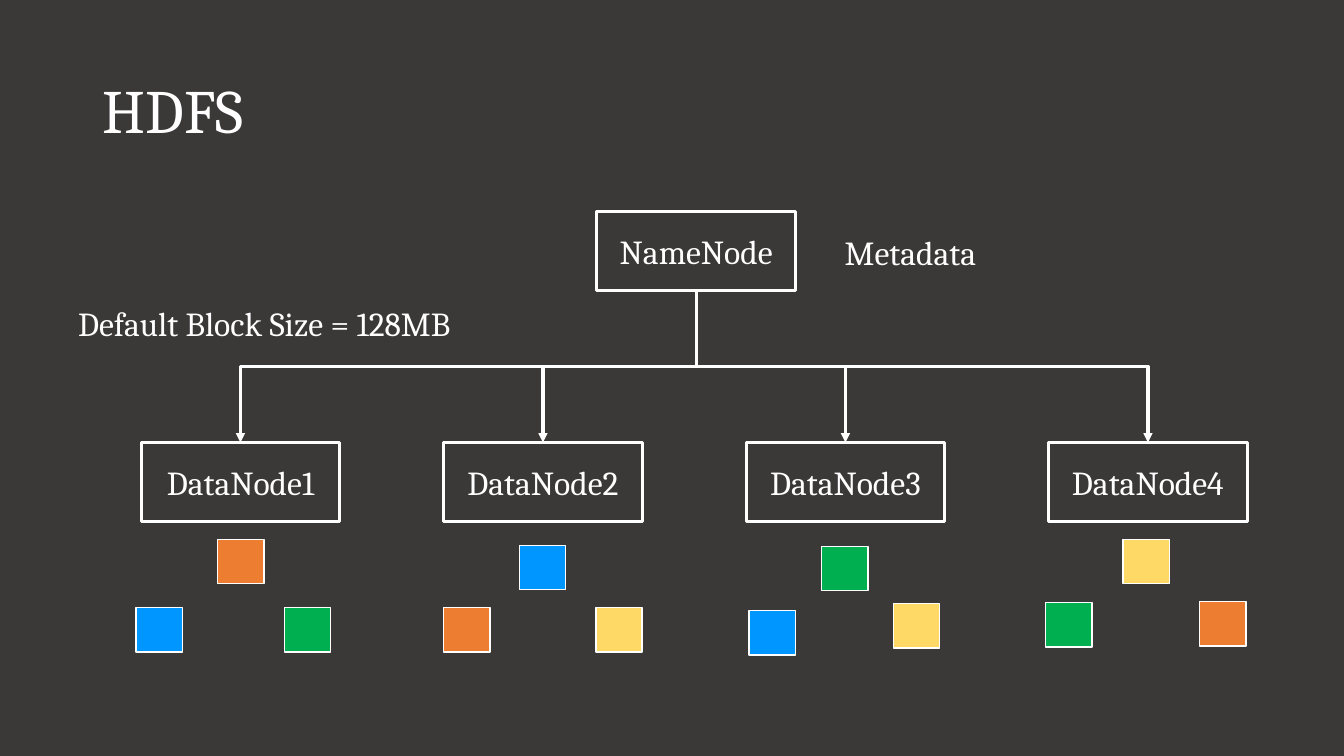
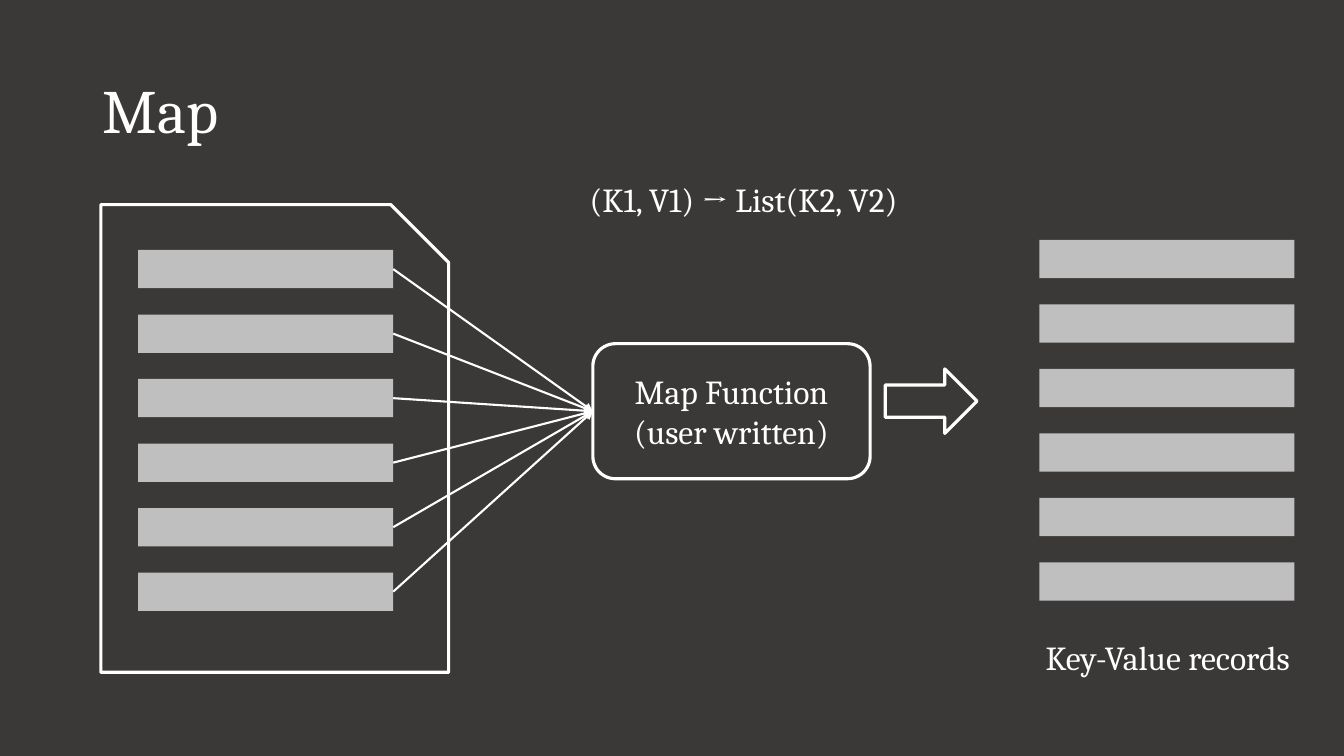
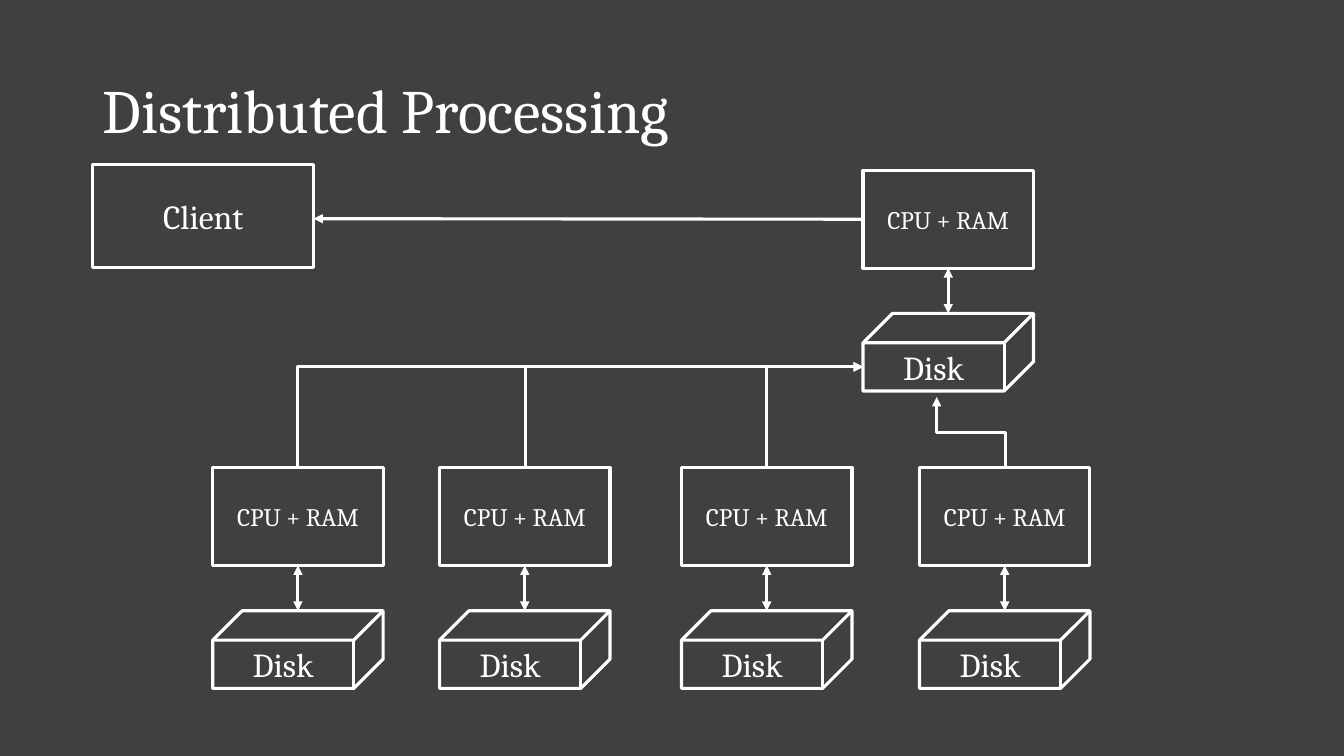
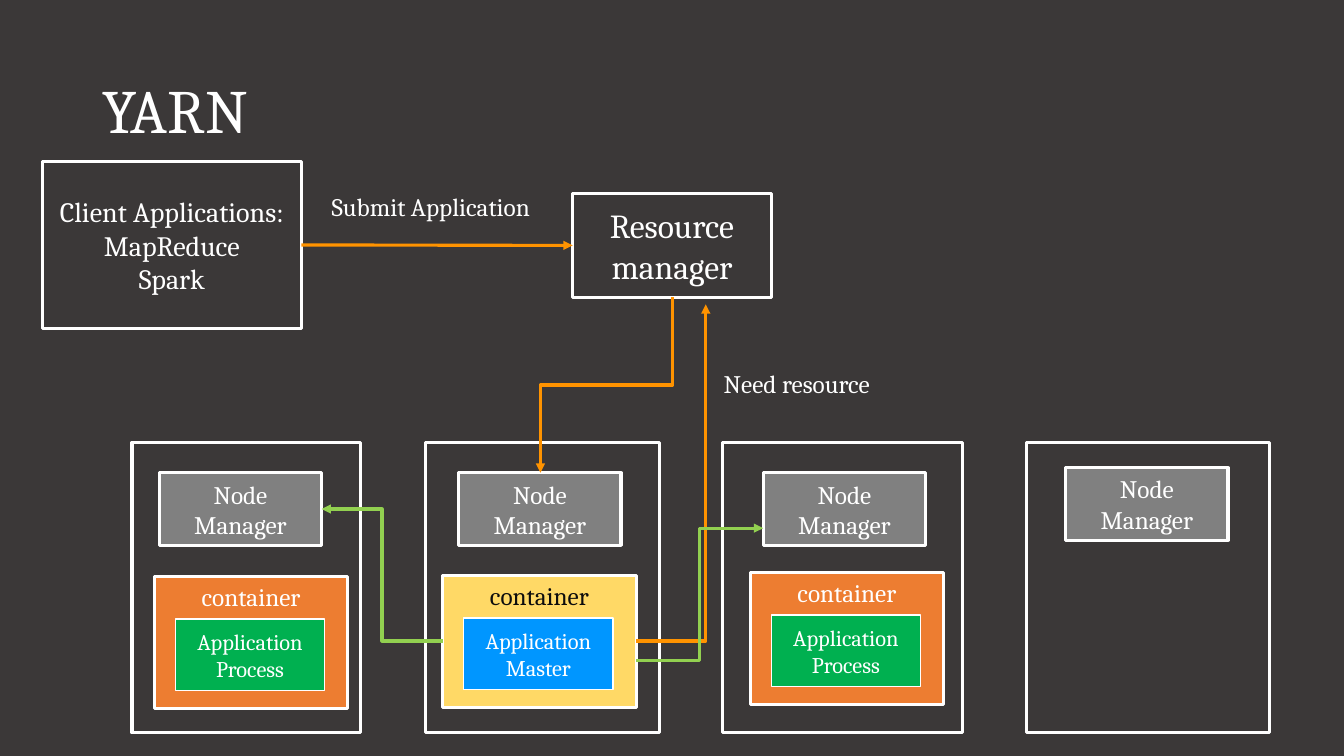
from dataclasses import dataclass

import lxml.etree
import pptx
import pptx.dml.color
import pptx.enum.shapes
import pptx.enum.text
import pptx.oxml.ns
import pptx.util

Inches = pptx.util.Inches
SHAPE = pptx.enum.shapes.MSO_SHAPE
CONNECTOR = pptx.enum.shapes.MSO_CONNECTOR
ALIGN = pptx.enum.text.PP_ALIGN
ANCHOR = pptx.enum.text.MSO_ANCHOR
TOP, LEFT, BOTTOM, RIGHT = range(4)


@dataclass(frozen=True)
class Theme:
    font: str = "Cambria"
    background: str = "3B3838"
    background_grey: str = "404040"
    white: str = "FFFFFF"
    dark: str = "0D0D0D"
    record: str = "BFBFBF"
    manager: str = "808080"
    orange: str = "ED7D31"
    blue: str = "0096FF"
    green: str = "00B050"
    yellow: str = "FFD966"
    request: str = "FF9300"
    launch: str = "92D050"
    title_size: int = 44
    large: int = 24
    medium: int = 20
    small: int = 18
    tiny: int = 16
    thick: float = 2.25
    middle: float = 1.5
    thin: float = 1


THEME = Theme()


def rgb(color):
    return pptx.dml.color.RGBColor.from_string(color)


def apply_values(target, values):
    for name, value in values.items():
        setattr(target, name, value)


def write_text(shape, text, size, color=THEME.white, align=ALIGN.CENTER,
               anchor=ANCHOR.MIDDLE, line_spacing=None):
    frame = shape.text_frame
    apply_values(frame, {"text": text, "word_wrap": True, "vertical_anchor": anchor})
    for paragraph in frame.paragraphs:
        apply_values(paragraph, {"alignment": align, "line_spacing": line_spacing})
        apply_values(paragraph.font, {"name": THEME.font, "size": pptx.util.Pt(size)})
        paragraph.font.color.rgb = rgb(color)


def add_label(slide, box, text, size=THEME.large, **text_values):
    label = slide.shapes.add_textbox(*map(Inches, box))
    write_text(label, text, size, **{"anchor": ANCHOR.TOP, **text_values})


def add_box(shapes, box, text="", size=THEME.large, kind=SHAPE.RECTANGLE,
            fill=None, line=THEME.thick, **text_values):
    """Add an outlined shape; without a fill or a line width that part is empty."""
    shape = shapes.add_shape(kind, *map(Inches, box))
    shape.shadow.inherit = False
    if fill:
        shape.fill.solid()
        shape.fill.fore_color.rgb = rgb(fill)
    else:
        shape.fill.background()
    if line:
        shape.line.color.rgb = rgb(THEME.white)
        shape.line.width = pptx.util.Pt(line)
    else:
        shape.line.fill.background()
    if text:
        write_text(shape, text, size, **text_values)
    return shape


def style_connector(connector, color, width, both_ends=False):
    connector.line.color.rgb = rgb(color)
    connector.line.width = pptx.util.Pt(width)
    properties = connector.element.spPr
    outline = properties.find(pptx.oxml.ns.qn("a:ln"))
    for end in ("a:headEnd", "a:tailEnd") if both_ends else ("a:tailEnd",):
        lxml.etree.SubElement(outline, pptx.oxml.ns.qn(end), type="triangle")
    lxml.etree.SubElement(properties, pptx.oxml.ns.qn("a:effectLst"))


def add_arrow(shapes, start, end, begin=None, finish=None,
              color=THEME.white, width=THEME.thick, both_ends=False):
    """Add a straight arrow; begin and finish are optional (shape, side) joints."""
    arrow = shapes.add_connector(CONNECTOR.STRAIGHT, *map(Inches, start + end))
    if begin:
        arrow.begin_connect(*begin)
    if finish:
        arrow.end_connect(*finish)
    style_connector(arrow, color, width, both_ends)


def add_elbow(slide, start, end, color=THEME.white, vertical_first=False, corners=2):
    """Add a bent arrow; one that leaves vertically is a turned horizontal one."""
    rotation = 0
    if vertical_first:
        half_x, half_y = (end[0] - start[0]) / 2, (end[1] - start[1]) / 2
        center_x, center_y = start[0] + half_x, start[1] + half_y
        turn = -1 if half_x * half_y > 0 else 1
        rotation = 270 if turn < 0 else 90
        start = (center_x - turn * half_y, center_y + turn * half_x)
        end = (center_x + turn * half_y, center_y - turn * half_x)
    elbow = slide.shapes.add_connector(CONNECTOR.ELBOW, *map(Inches, start + end))
    elbow.rotation = rotation
    geometry = elbow.element.spPr.find(pptx.oxml.ns.qn("a:prstGeom"))
    geometry.set("prst", f"bentConnector{corners + 1}")
    style_connector(elbow, color, THEME.thick)


def add_slide(presentation, title, background=THEME.background):
    slide = presentation.slides.add_slide(presentation.slide_layouts[6])
    slide.background.fill.solid()
    slide.background.fill.fore_color.rgb = rgb(background)
    add_label(slide, (0.92, 0.4, 11.5, 1.45), title, THEME.title_size,
              align=ALIGN.LEFT, anchor=ANCHOR.MIDDLE, line_spacing=0.9)
    return slide


def build_hdfs(presentation):
    slide = add_slide(presentation, "HDFS")
    width, height, node_top = 1.97, 0.78, 4.39
    add_box(slide.shapes, (5.92, 2.1, width, height), "NameNode")
    node_blocks = [
        [(THEME.orange, 2.16, 5.35), (THEME.blue, 1.35, 6.03), (THEME.green, 2.82, 6.03)],
        [(THEME.blue, 5.15, 5.41), (THEME.orange, 4.4, 6.03), (THEME.yellow, 5.91, 6.03)],
        [(THEME.green, 8.15, 5.42), (THEME.blue, 7.43, 6.06), (THEME.yellow, 8.86, 5.99)],
        [(THEME.yellow, 11.14, 5.35), (THEME.green, 10.37, 5.98), (THEME.orange, 11.9, 5.97)],
    ]
    for index, blocks in enumerate(node_blocks):
        left = 1.4 + 3 * index
        add_box(slide.shapes, (left, node_top, width, height), f"DataNode{index + 1}")
        add_elbow(slide, (6.91, 2.88), (left + width / 2, node_top), vertical_first=True)
        for color, block_left, block_top in blocks:
            add_box(slide.shapes, (block_left, block_top, 0.46, 0.44),
                    fill=color, line=THEME.thin)
    add_label(slide, (8.15, 2.25, 1.76, 0.5), "Metadata")
    add_label(slide, (0.43, 2.96, 4.38, 0.5), "Default Block Size = 128MB")


def add_records(slide, left, top):
    return [add_box(slide.shapes, (left, top + 0.64 * index, 2.53, 0.38),
                    fill=THEME.record, line=None) for index in range(6)]


def build_map(presentation):
    slide = add_slide(presentation, "Map")
    add_box(slide.shapes, (1, 2.03, 3.45, 4.64), kind=SHAPE.SNIP_1_RECTANGLE)
    records = add_records(slide, 1.37, 2.48)
    function = add_box(slide.shapes, (5.88, 3.41, 2.75, 1.34),
                       "Map Function\n(user written)", kind=SHAPE.ROUNDED_RECTANGLE)
    for record in records:
        add_arrow(slide.shapes, (3.9, 4), (5.88, 4.08), (record, RIGHT),
                  (function, LEFT), width=THEME.middle)
    add_records(slide, 10.31, 2.38)
    add_box(slide.shapes, (8.78, 3.66, 0.91, 0.64), kind=SHAPE.RIGHT_ARROW)
    add_label(slide, (10.12, 6.27, 2.92, 0.5), "Key-Value records")
    add_label(slide, (4.97, 1.73, 4.81, 0.5), "(K1, V1) → List(K2, V2)")


def add_machine(slide, left, top):
    """Add a grouped processor and disk, and return the processor."""
    shapes = slide.shapes.add_group_shape().shapes
    width, height, disk_top = 1.69, 0.97, top + 1.42
    processor = add_box(shapes, (left, top, width, height), "CPU + RAM", THEME.small)
    disk = add_box(shapes, (left, disk_top, width, 0.77), "Disk", kind=SHAPE.CUBE)
    disk.adjustments[0] = 0.378
    center = left + width / 2
    add_arrow(shapes, (center, top + height), (center, disk_top),
              (processor, BOTTOM), both_ends=True)
    return processor


def build_distributed_processing(presentation):
    slide = add_slide(presentation, "Distributed Processing", THEME.background_grey)
    worker_top, disk_side = 4.64, (8.56, 3.64)
    for left in (2.11, 4.36, 6.76, 9.12):
        add_machine(slide, left, worker_top)
    add_box(slide.shapes, (0.92, 1.63, 2.19, 1.02), "Client")
    main_processor = add_machine(slide, 8.56, 1.69)
    add_arrow(slide.shapes, (8.56, 2.17), (3.11, 2.17), (main_processor, LEFT))
    for center in (2.95, 5.21, 7.6):
        add_elbow(slide, (center, worker_top), disk_side, vertical_first=True, corners=1)
    add_elbow(slide, (9.97, worker_top), (9.29, 3.94), vertical_first=True)


def add_container(slide, left, top, fill, process, process_fill, color=THEME.white):
    add_box(slide.shapes, (left, top, 1.92, 1.31), "container", THEME.small,
            fill=fill, color=color, anchor=ANCHOR.TOP)
    add_box(slide.shapes, (left + 0.21, top + 0.42, 1.48, 0.71), process, THEME.tiny,
            fill=process_fill, line=THEME.thin)


def build_yarn(presentation):
    slide = add_slide(presentation, "YARN")
    resource_manager = add_box(slide.shapes, (5.68, 1.92, 1.97, 1.03), "Resource manager")
    client = add_box(slide.shapes, (0.42, 1.6, 2.57, 1.66),
                     "Client Applications:\nMapReduce\nSpark", THEME.medium)
    add_arrow(slide.shapes, (2.99, 2.43), (5.68, 2.43), (client, RIGHT),
              (resource_manager, LEFT), color=THEME.request)
    nodes = [(1.31, 2.27, 1.58, 4.69), (4.22, 2.32, 4.55, 4.69),
             (7.17, 2.38, 7.57, 4.69), (10.18, 2.41, 10.57, 4.64)]
    for left, width, manager_left, manager_top in nodes:
        add_box(slide.shapes, (left, 4.39, width, 2.88))
        add_box(slide.shapes, (manager_left, manager_top, 1.61, 0.72), "Node Manager",
                THEME.small, fill=THEME.manager)
    add_container(slide, 4.39, 5.71, THEME.yellow, "Application Master",
                  THEME.blue, THEME.dark)
    for left, top in ((7.44, 5.68), (1.53, 5.72)):
        add_container(slide, left, top, THEME.orange, "Application Process", THEME.green)
    for box, text in (((3.19, 1.85, 2.36, 0.4), "Submit Application"),
                      ((7.08, 3.61, 1.96, 0.4), "Need resource")):
        add_label(slide, box, text, THEME.small, align=ALIGN.LEFT)
    add_elbow(slide, (6.67, 2.95), (5.36, 4.69), THEME.request, vertical_first=True)
    add_elbow(slide, (6.31, 6.36), (7, 3.02), THEME.request, corners=1)
    add_elbow(slide, (4.39, 6.36), (3.19, 5.05), THEME.launch)
    add_elbow(slide, (6.31, 6.55), (7.57, 5.24), THEME.launch)


def main():
    presentation = pptx.Presentation()
    apply_values(presentation, {"slide_width": Inches(13.33), "slide_height": Inches(7.5)})
    for build in (build_hdfs, build_map, build_distributed_processing, build_yarn):
        build(presentation)
    presentation.save("out.pptx")


if __name__ == "__main__":
    main()
